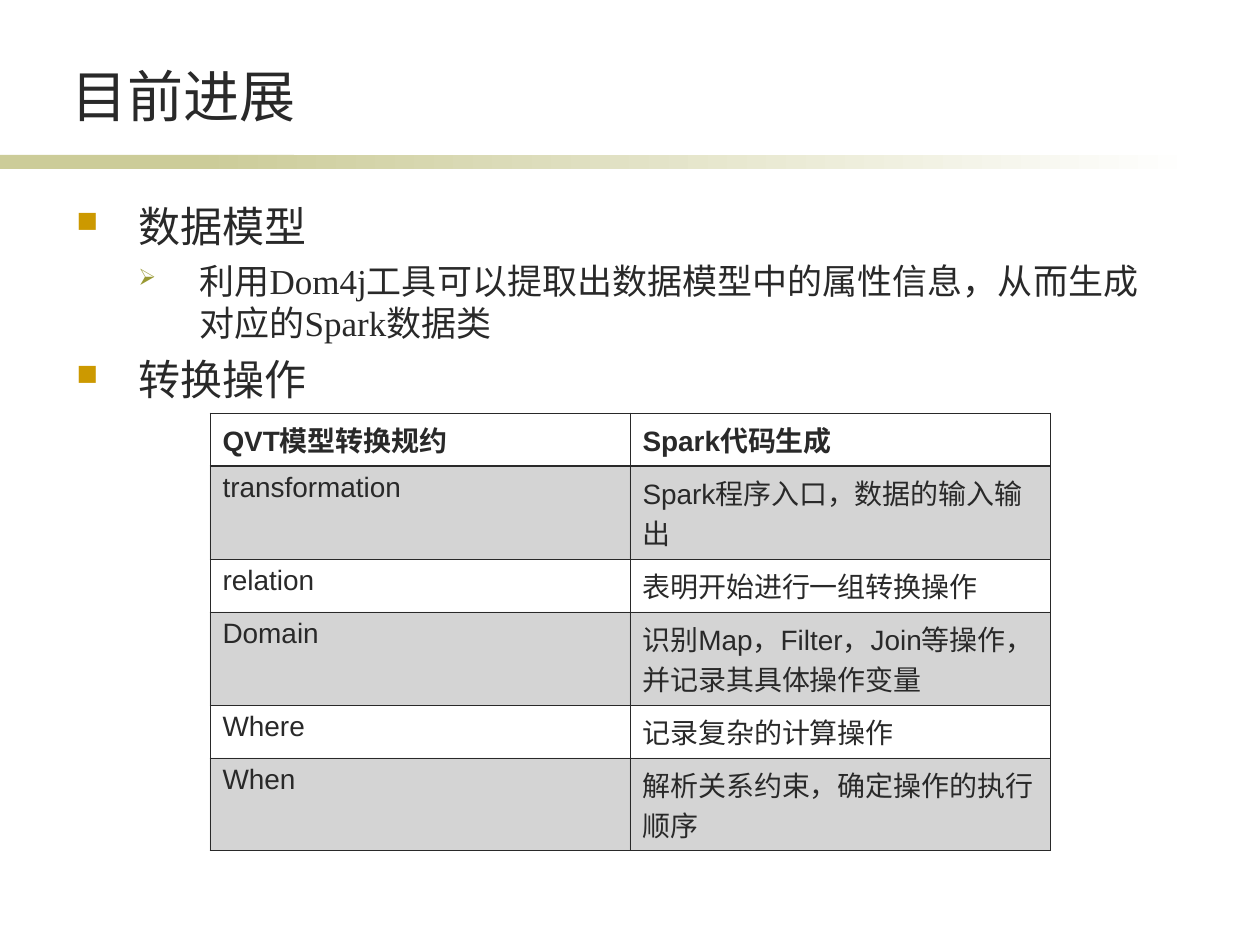
from lxml import etree
from pptx import Presentation
from pptx.dml.color import RGBColor
from pptx.enum.shapes import MSO_SHAPE
from pptx.enum.text import MSO_ANCHOR
from pptx.oxml.ns import qn
from pptx.util import Pt

PX = 914400 / 126
RECT = MSO_SHAPE.RECTANGLE
BOTTOM = MSO_ANCHOR.BOTTOM
INK = RGBColor(0x29, 0x29, 0x29)
SAGE = RGBColor(0xCC, 0xCC, 0x99)
WHITE = RGBColor(0xFF, 0xFF, 0xFF)
GOLD = RGBColor(0xCC, 0x99, 0x00)
OLIVE = RGBColor(0x99, 0x99, 0x33)
SERIF = "Times New Roman"
SANS = "Arial"
ONE, TWO = 53, 93

HEAD = {"level": 0, "size": 24, "left": 62, "hang": 62, "gap": 6,
        "mark": "■", "tint": GOLD, "scale": 70}
SUB = {"level": 1, "size": 20, "left": 123, "hang": 61, "gap": 5,
       "mark": "➢", "tint": OLIVE, "scale": 65}
POINTS = [
    (HEAD, "数据模型"),
    (SUB, "利用Dom4j工具可以提取出数据模型中的属性信息，从而生成对应的Spark数据类"),
    (HEAD, "转换操作"),
]
ROWS = [
    (ONE, "QVT模型转换规约", "Spark代码生成"),
    (TWO, "transformation", "Spark程序入口，数据的输入输出"),
    (ONE, "relation", "表明开始进行一组转换操作"),
    (TWO, "Domain", "识别Map，Filter，Join等操作，并记录其具体操作变量"),
    (ONE, "Where", "记录复杂的计算操作"),
    (TWO, "When", "解析关系约束，确定操作的执行顺序"),
]


def emu(n):
    return round(n * PX)


def sub(node, tag, **attrs):
    return etree.SubElement(node, qn(tag), {k: str(v) for k, v in attrs.items()})


def style(font, **values):
    values = {"bold": False, **values}
    for key, value in values.items():
        setattr(font, key, value)
    font.color.rgb = INK


def add_text(slide, box):
    frame = slide.shapes.add_textbox(*map(emu, box)).text_frame
    frame.word_wrap = True
    return frame


def add_bar(slide, box):
    x, y, w, h = box
    solid, fade = [
        slide.shapes.add_shape(RECT, *map(emu, part))
        for part in ((x, y, 294, h), (x + 199, y, w - 199, h))
    ]
    for shape in (solid, fade):
        shape.shadow.inherit = False
        shape.line.fill.background()
    solid.fill.solid()
    solid.fill.fore_color.rgb = SAGE
    fade.fill.gradient()
    fade.fill.gradient_angle = 0
    for stop, tint in zip(fade.fill.gradient_stops, (SAGE, WHITE)):
        stop.color.rgb = tint


def add_title(slide, box):
    frame = add_text(slide, box)
    frame.vertical_anchor = BOTTOM
    run = frame.paragraphs[0].add_run()
    run.text = "目前进展"
    style(run.font, name=SERIF, size=Pt(32))


def add_points(slide, box):
    frame = add_text(slide, box)
    for i, (form, text) in enumerate(POINTS):
        para = frame.add_paragraph() if i else frame.paragraphs[0]
        para.level = form["level"]
        para.space_before = Pt(form["gap"])
        props = para._p.get_or_add_pPr()
        props.set("marL", str(emu(form["left"])))
        props.set("indent", str(-emu(form["hang"])))
        sub(sub(props, "a:buClr"), "a:srgbClr", val=form["tint"])
        sub(props, "a:buSzPct", val=form["scale"] * 1000)
        sub(props, "a:buChar", char=form["mark"])
        run = para.add_run()
        run.text = text
        style(run.font, name=SERIF, size=Pt(form["size"]))


def add_edges(cell, row):
    props = cell._tc.get_or_add_tcPr()
    for i, side in enumerate(("L", "R", "T", "B")):
        thick = (row, side) in ((0, "B"), (1, "T"))
        line = etree.Element(qn(f"a:ln{side}"), w=str(Pt(0.96 if thick else 0.45)))
        sub(sub(line, "a:solidFill"), "a:srgbClr", val=INK)
        props.insert(i, line)


def add_grid(slide, box):
    x, y, w = map(emu, box)
    h = emu(sum(row[0] for row in ROWS))
    table = slide.shapes.add_table(len(ROWS), 2, x, y, w, h).table
    table.first_row = table.horz_banding = False
    for r, (tall, *texts) in enumerate(ROWS):
        table.rows[r].height = emu(tall)
        for c, text in enumerate(texts):
            cell = table.cell(r, c)
            run = cell.text_frame.paragraphs[0].add_run()
            run.text = text
            style(run.font, name=SANS, size=Pt(16), bold=r == 0)
            if r % 2:
                cell.fill.solid()
                cell.fill.fore_color.rgb = INK
                tint = cell._tc.tcPr.find(".//" + qn("a:srgbClr"))
                sub(tint, "a:alpha", val=20000)
            else:
                cell.fill.background()
            add_edges(cell, r)


def main():
    deck = Presentation()
    deck.slide_width, deck.slide_height = emu(1260), emu(945)
    slide = deck.slides.add_slide(deck.slide_layouts[6])
    add_bar(slide, (0, 155, 1197, 14))
    add_title(slide, (59, 29, 945, 106))
    add_points(slide, (64, 194, 1121, 605))
    add_grid(slide, (210, 413, 840))
    deck.save("out.pptx")


if __name__ == "__main__":
    main()
